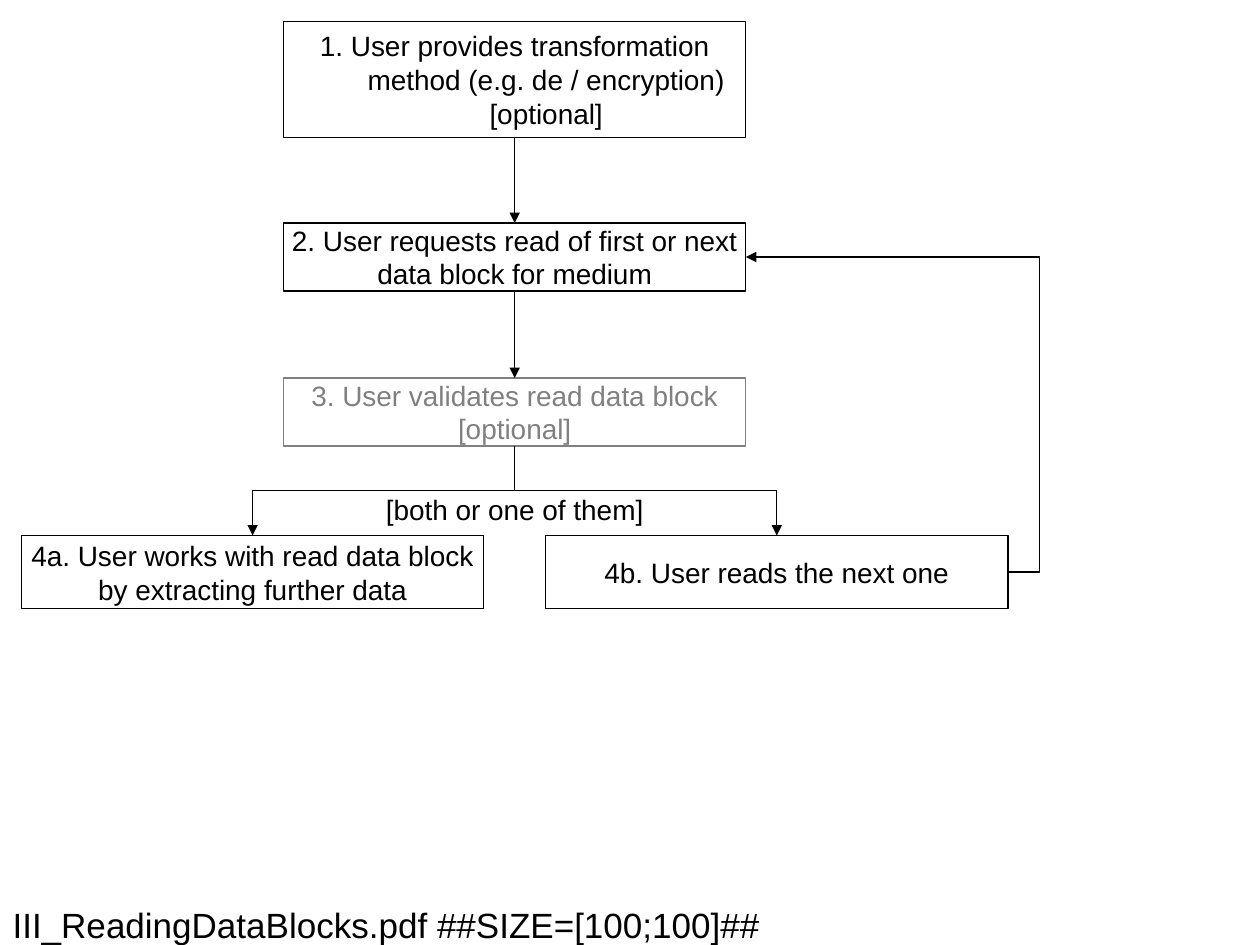
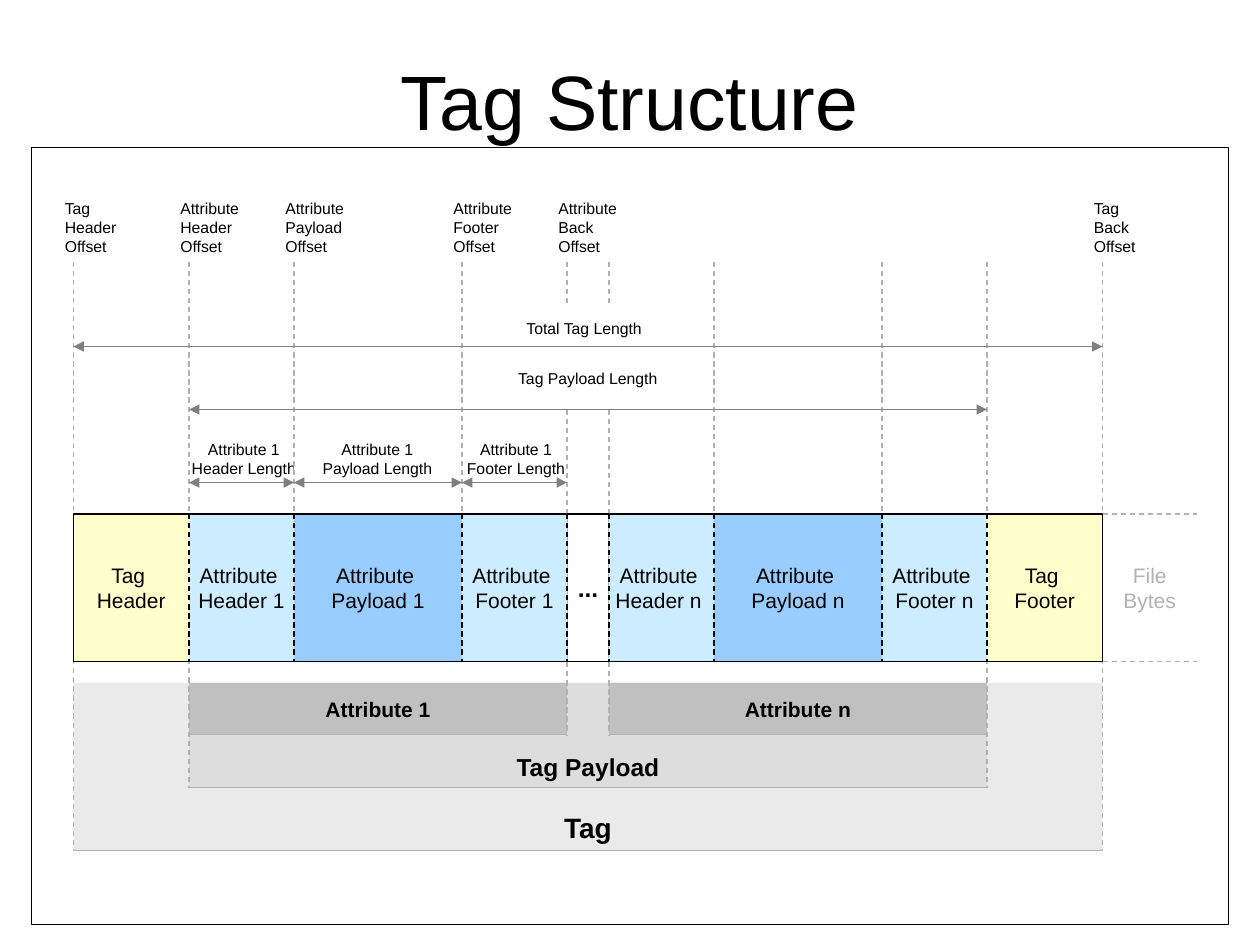
"""Build a flow chart for reading data blocks and a diagram of a tag."""
from copy import deepcopy
from itertools import accumulate, pairwise

from pptx import Presentation
from pptx.dml.color import RGBColor
from pptx.enum.dml import MSO_LINE
from pptx.enum.shapes import MSO_CONNECTOR, MSO_SHAPE
from pptx.enum.text import MSO_ANCHOR, MSO_AUTO_SIZE, PP_ALIGN
from pptx.oxml.ns import qn
from pptx.oxml.xmlchemy import OxmlElement
from pptx.util import Inches, Pt

FONT = "Arial"
BLACK = RGBColor(0x00, 0x00, 0x00)
WHITE = RGBColor(0xFF, 0xFF, 0xFF)
GREY = RGBColor(0x80, 0x80, 0x80)
SILVER = RGBColor(0xB2, 0xB2, 0xB2)
DARK = RGBColor(0xC0, 0xC0, 0xC0)
MID = RGBColor(0xDD, 0xDD, 0xDD)
PALE = RGBColor(0xEA, 0xEA, 0xEA)
CREAM = RGBColor(0xFF, 0xFF, 0xCC)
SKY = RGBColor(0xCC, 0xEC, 0xFF)
BLUE = RGBColor(0x99, 0xCC, 0xFF)
LEFT, MIDDLE = PP_ALIGN.LEFT, PP_ALIGN.CENTER

STEP_W = 3.67
STEPS = [
    ("1. User provides transformation\nmethod (e.g. de / encryption)\n[optional]",
     2.25, 0.17, 0.92, BLACK, 0.5),
    ("2. User requests read of first or next\ndata block for medium",
     2.25, 1.77, 0.54, BLACK, 0),
    ("3. User validates read data block\n[optional]",
     2.25, 3, 0.54, GREY, 0),
    ("4a. User works with read data block\nby extracting further data",
     0.17, 4.25, 0.58, BLACK, 0),
    ("4b. User reads the next one",
     4.33, 4.25, 0.58, BLACK, 0),
]

CELLS = [
    ("Tag \nHeader", 11, CREAM),
    ("Attribute \nHeader 1", 10, SKY),
    ("Attribute \nPayload 1", 16, BLUE),
    ("Attribute \nFooter 1", 10, SKY),
    ("...", 4, None),
    ("Attribute \nHeader n ", 10, SKY),
    ("Attribute \nPayload n", 16, BLUE),
    ("Attribute \nFooter n", 10, SKY),
    ("Tag \nFooter", 11, CREAM),
]
EDGES = [n / 12 for n in accumulate((w for _, w, _ in CELLS), initial=7)]
FIRST, LAST = EDGES[0], EDGES[-1]
ROW, ROW_H, END = 4.08, 1.17, 9.5
BASE = ROW + ROW_H
TOP, STUB, BAND = 2.08, 2.42, 5.42
DROPS = [6.75, 6.25, ROW, ROW, 5.83, 5.83, BASE, BASE, 6.25, 6.75]
BANDS = [
    ("Tag", 0, 9, 6.75, PALE, 16, MSO_ANCHOR.BOTTOM),
    ("Tag Payload", 1, 8, 6.25, MID, 14, MSO_ANCHOR.BOTTOM),
    ("Attribute n", 5, 8, 5.83, DARK, 12, MSO_ANCHOR.MIDDLE),
    ("Attribute 1", 1, 4, 5.83, DARK, 12, MSO_ANCHOR.MIDDLE),
]
SPANS = [(1, 8, 3.25), (1, 2, 3.83), (2, 3, 3.83), (3, 4, 3.83), (0, 9, 2.75)]
SIZES = [("Footer", 3.51, 1.17), ("Header", 1.31, 1.25), ("Payload", 2.33, 1.33)]
MARKS = {0: "Tag\nHeader", 1: "Attribute\nHeader", 2: "Attribute\nPayload",
         3: "Attribute\nFooter", 4: "Attribute\nBack", 9: "Tag\nBack"}


def write(shape, text, size=12, color=BLACK, bold=False, align=MIDDLE,
          anchor=MSO_ANCHOR.MIDDLE, wrap=True, hang=0):
    """Put formatted text into a shape."""
    frame = shape.text_frame
    frame.auto_size = MSO_AUTO_SIZE.NONE
    frame.word_wrap = wrap
    frame.vertical_anchor = anchor
    para = frame.paragraphs[0]
    para.text = text
    para.alignment = align
    if hang:
        props = para._p.get_or_add_pPr()
        props.set("marL", str(Inches(hang)))
        props.set("indent", str(-Inches(hang)))
    for run in para.runs:
        font = run.font
        font.name, font.size, font.bold = FONT, Pt(size), bold
        font.color.rgb = color
    for gap in para._p.findall(qn("a:br")):
        gap.insert(0, deepcopy(para.runs[0]._r.rPr))


def box(slide, at, text="", fill=None, line=None, **form):
    """Add a rectangle, or a text box if it has neither fill nor line."""
    at = [Inches(n) for n in at]
    if fill is None and line is None:
        shape = slide.shapes.add_textbox(*at)
    else:
        shape = slide.shapes.add_shape(MSO_SHAPE.RECTANGLE, *at)
        shape.shadow.inherit = False
        if fill is None:
            shape.fill.background()
        else:
            shape.fill.solid()
            shape.fill.fore_color.rgb = fill
        if line is None:
            shape.line.fill.background()
        else:
            shape.line.color.rgb = line
            shape.line.width = Pt(0.75)
    if text:
        write(shape, text, **form)
    return shape


def link(slide, start, stop, color=BLACK, dash=False, ends=(),
         kind=MSO_CONNECTOR.STRAIGHT):
    """Add a connector with optional dashes and arrowheads."""
    wire = slide.shapes.add_connector(kind, *[Inches(n) for n in (*start, *stop)])
    wire.line.color.rgb = color
    wire.line.width = Pt(0.75)
    if dash:
        wire.line.dash_style = MSO_LINE.DASH
    for name in ends:
        tip = OxmlElement(f"a:{name}")
        tip.set("type", "triangle")
        wire.line._ln.append(tip)
    wire._element.spPr.append(OxmlElement("a:effectLst"))
    return wire


def elbow(slide, start, stop, turn=0, bend=0.5):
    """Add a bent arrow, turned by whole degrees about its centre."""
    wire = link(slide, start, stop, ends=["tailEnd"], kind=MSO_CONNECTOR.ELBOW)
    props = wire._element.spPr
    if turn:
        props.find(qn("a:xfrm")).set("rot", str(turn * 60000))
    guides = props.find(qn("a:prstGeom")).get_or_add_avLst()
    guide = OxmlElement("a:gd")
    guide.set("name", "adj1")
    guide.set("fmla", f"val {round(bend * 100000)}")
    guides.append(guide)


def fork(slide, start, stop):
    """Add a bent arrow that leaves and arrives vertically."""
    (x1, y1), (x2, y2) = start, stop
    mid, half = (x1 + x2) / 2, (y2 - y1) / 2
    side = 1 if x2 > x1 else -1
    reach = abs(x2 - x1) / 2
    level = (y1 + y2) / 2
    elbow(slide, (mid + side * half, level - reach),
          (mid - side * half, level + reach), 270 if side > 0 else 90)


def head(deck, text, at, **form):
    """Add a slide with a placed title."""
    slide = deck.slides.add_slide(deck.slide_layouts[5])
    title = slide.shapes.title
    title.left, title.top, title.width, title.height = [Inches(n) for n in at]
    write(title, text, **form)
    return slide


def flow(deck):
    """Draw the steps of reading data blocks."""
    slide = head(deck, "III_ReadingDataBlocks.pdf ##SIZE=[100;100]##",
                 (0, 7.17, 10, 0.33), size=20, align=LEFT)
    steps = [box(slide, (x, y, STEP_W, h), text, line=color, size=16,
                 color=color, wrap=False, hang=hang)
             for text, x, y, h, color, hang in STEPS]
    for above, below in pairwise(steps[:3]):
        wire = link(slide, (0, 0), (1, 1), ends=["tailEnd"])
        wire.begin_connect(above, 2)
        wire.end_connect(below, 0)
    _, x, y, h, *_ = STEPS[2]
    for _, left, top, *_ in STEPS[3:]:
        fork(slide, (x + STEP_W / 2, y + h), (left + STEP_W / 2, top))
    box(slide, (3.42, 3.92, 1.33, 0.25), "[both or one of them]", size=16, wrap=False)
    elbow(slide, (8, 4.54), (5.92, 2.04), bend=-0.12)


def tag(deck):
    """Draw the parts, offsets and lengths of a tag."""
    slide = head(deck, "Tag Structure", (0.75, 0.17, 8.5, 1.25), size=44)
    box(slide, (0.25, 1.17, 9.5, 6.17), line=BLACK)
    for text, a, b, low, fill, size, anchor in BANDS:
        box(slide, (EDGES[a], BAND, EDGES[b] - EDGES[a], low - BAND), text,
            fill=fill, size=size, bold=True, anchor=anchor)
    box(slide, (1.08, 2.75, 7.17, 0.5), "Tag Payload Length", size=9)
    for part, x, width in SIZES:
        box(slide, (x, 3.44, width, 0.4), f"Attribute 1\n{part} Length",
            fill=WHITE, size=9, anchor=MSO_ANCHOR.TOP)
    for i, (x, low) in enumerate(zip(EDGES, DROPS)):
        inner = i in (4, 5)
        link(slide, (x, 3.25 if inner else TOP), (x, low), SILVER, dash=True)
        if inner:
            link(slide, (x, TOP), (x, STUB), SILVER, dash=True)
    for (text, width, fill), x in zip(CELLS, EDGES):
        box(slide, (x, ROW, width / 12, ROW_H), text, fill=fill,
            size=12 if fill else 14, bold=not fill, wrap=False)
    for x in EDGES[1:-1]:
        link(slide, (x, ROW), (x, BASE), dash=True)
    box(slide, (FIRST, ROW, LAST - FIRST, ROW_H), line=BLACK)
    for a, b, y in SPANS:
        link(slide, (EDGES[a], y), (EDGES[b], y), GREY, ends=["headEnd", "tailEnd"])
    box(slide, (LAST, ROW, END - LAST, ROW_H), "File\nBytes", color=SILVER, wrap=False)
    for y in (ROW, BASE):
        link(slide, (LAST, y), (END, y), SILVER, dash=True)
    for i, text in MARKS.items():
        box(slide, (EDGES[i] - 1 / 6, 1.53, 0.7, 0.55), f"{text}\nOffset",
            size=9, align=LEFT, anchor=MSO_ANCHOR.TOP)
    box(slide, (4.08, 2.48, 1.25, 0.25), "Total Tag Length", fill=WHITE,
        size=9, align=LEFT, anchor=MSO_ANCHOR.TOP)
    for _, a, b, low, *_ in BANDS:
        link(slide, (EDGES[a], low), (EDGES[b], low), SILVER)


def main():
    """Build and save both slides."""
    deck = Presentation()
    deck.slide_width, deck.slide_height = Inches(10), Inches(7.5)
    flow(deck)
    tag(deck)
    deck.save("out.pptx")


if __name__ == "__main__":
    main()
